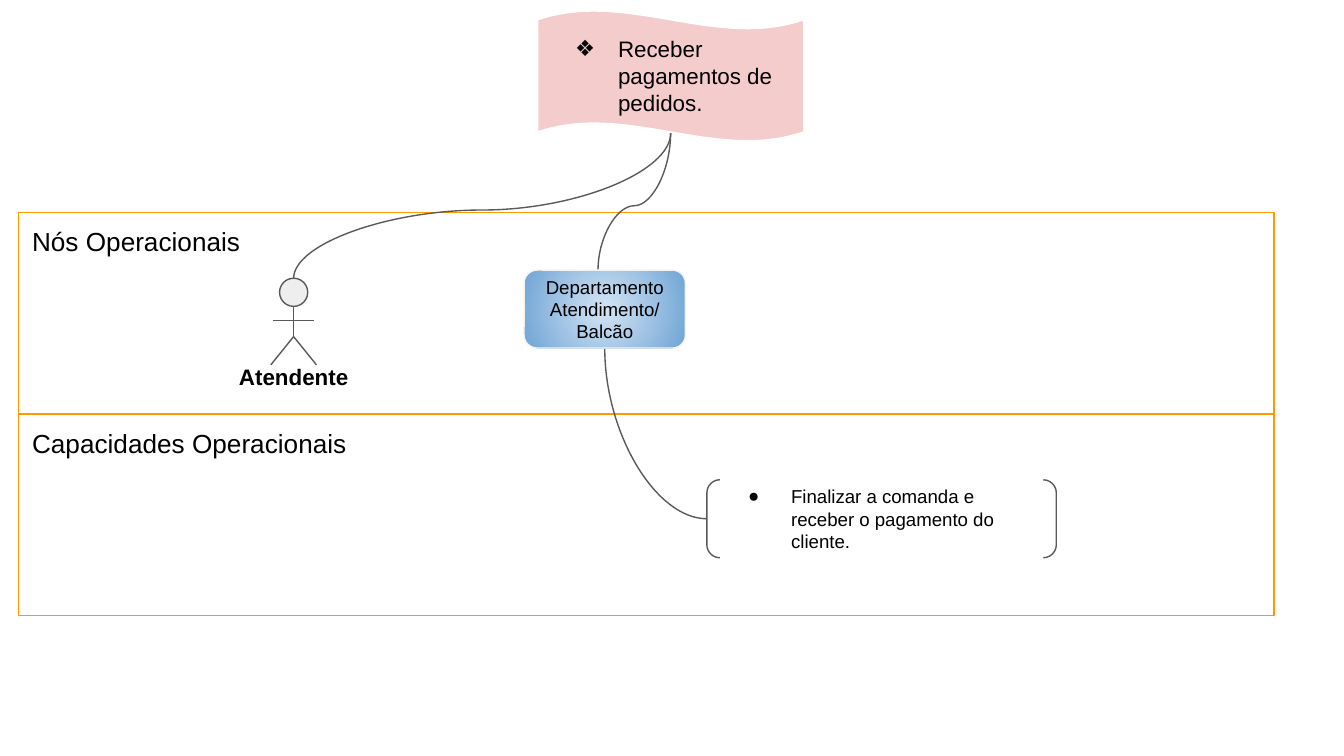
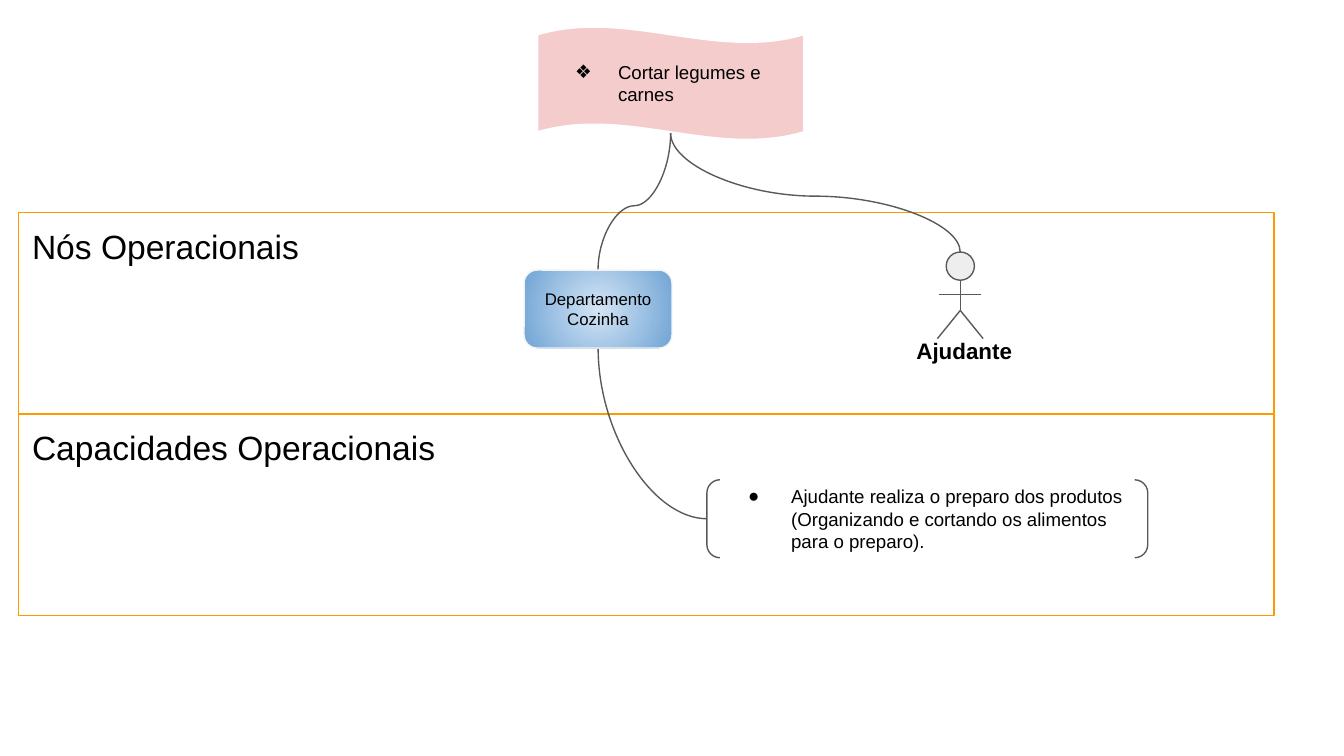
from lxml.etree import SubElement as Sub
from pptx import Presentation
from pptx.dml.color import RGBColor as RGB
from pptx.enum.shapes import MSO_CONNECTOR as Con, MSO_SHAPE as Geo
from pptx.enum.text import MSO_ANCHOR as Anchor, PP_ALIGN as Align
from pptx.oxml.ns import qn
from pptx.util import Inches, Pt

# The grid: 100 columns wide, square cells.
WIDE, HIGH = Inches(10), Inches(5.625)
CELL = WIDE / 100

BLACK, WHITE = RGB(0, 0, 0), RGB(255, 255, 255)
ORANGE = RGB(0xFF, 0x99, 0x00)
PINK = RGB(0xF4, 0xCC, 0xCC)
GREY = RGB(0x59, 0x59, 0x59)
PALE = RGB(0xEE, 0xEE, 0xEE)
MIST = RGB(0xF3, 0xF3, 0xF3)
SKY, BLUE = RGB(0xD4, 0xE5, 0xF5), RGB(0x70, 0xA4, 0xD5)

FONT = "Arial"
THIN = Pt(0.75)
PAD = 1
BANDS = (1.4, 15.8, 93.4, 15)      # first band; the next lies one height below
BAND_NAMES = ("Nós Operacionais", "Capacidades Operacionais")
ROUND = 0.167


def cells(*nums):
    """Turn grid cells into slide lengths."""
    return [round(n * CELL) for n in nums]


def write(shape, paras, size, align=Align.LEFT, anchor=Anchor.TOP,
          bold=False, mark=None):
    """Fill a shape with paragraphs, bulleted if a mark is given."""
    frame = shape.text_frame
    frame.word_wrap = True
    frame.vertical_anchor = anchor
    pad, = cells(PAD)
    frame.margin_left = frame.margin_right = pad
    frame.margin_top = frame.margin_bottom = pad
    for i, text in enumerate(paras):
        para = frame.add_paragraph() if i else frame.paragraphs[0]
        para.alignment = align
        run = para.add_run()
        run.text = text
        font = run.font
        font.name, font.size, font.bold = FONT, Pt(size), bold
        font.color.rgb = BLACK
        if mark:
            bullet(para, mark)


def bullet(para, mark):
    """Give a paragraph a black bullet and a hanging indent."""
    props = para._p.get_or_add_pPr()
    left, hang = cells(5, 3.2)
    props.set("marL", str(left))
    props.set("indent", str(-hang))
    tint = Sub(props, qn("a:buClr"))
    Sub(tint, qn("a:srgbClr")).set("val", str(BLACK))
    Sub(props, qn("a:buFont")).set("typeface", FONT)
    Sub(props, qn("a:buChar")).set("char", mark)


def block(shapes, kind, box, edge, fill=None, bend=None):
    """Add a flat preset shape in a box of cells."""
    shape = shapes.add_shape(kind, *cells(*box))
    shape.shadow.inherit = False
    shape.line.color.rgb = edge
    shape.line.width = THIN
    if fill is None:
        shape.fill.background()
    else:
        shape.fill.solid()
        shape.fill.fore_color.rgb = fill
    if bend is not None:
        shape.adjustments[0] = bend
    return shape


def stroke(shapes, kind, start, end):
    """Add a thin grey connector without shadow."""
    line = shapes.add_connector(kind, *cells(*start, *end))
    line.line.color.rgb = GREY
    line.line.width = THIN
    Sub(line._element.spPr, qn("a:effectLst"))
    return line


def curve(shapes, start, end, bend=None):
    """Link two points by a curve that leaves upright.

    With a bend it is an S; without one, a quarter turn.
    """
    (x1, y1), (x2, y2) = start, end
    dx, dy = x2 - x1, y2 - y1
    midx, midy = (x1 + x2) / 2, (y1 + y2) / 2
    # The box lies on its side, so width and height swap.
    w, h = abs(dy) / 2, abs(dx) / 2
    line = stroke(shapes, Con.CURVE, (midx - w, midy - h), (midx + w, midy + h))
    props = line._element.spPr
    frame = props.find(qn("a:xfrm"))
    frame.set("rot", str((270 if dx > 0 else 90) * 60000))
    if (dx > 0) == (dy > 0):
        frame.set("flipH", "1")
    geom = props.find(qn("a:prstGeom"))
    if bend is None:
        geom.set("prst", "curvedConnector2")
    else:
        guide = Sub(geom.find(qn("a:avLst")), qn("a:gd"))
        guide.set("name", "adj1")
        guide.set("fmla", f"val {round(bend * 100000)}")


def bands(shapes, box, size):
    """Stack the two named bands."""
    x, y, w, h = box
    for i, name in enumerate(BAND_NAMES):
        band = block(shapes, Geo.RECTANGLE, (x, y + i * h, w, h), ORANGE)
        write(band, [name], size)


def banner(shapes, box, text, size):
    """Add the waving goal banner; return the point links hang from."""
    x, y, w, h = box
    flag = block(shapes, Geo.WAVE, box, WHITE, PINK, 0.07)
    write(flag, [text], size, anchor=Anchor.MIDDLE, mark="❖")
    return x + w / 2, 9.9


def actor(shapes, x, y, name, wide, shift=0):
    """Draw a named stick figure with its head top at x, y."""
    group = shapes.add_group_shape().shapes
    head, neck, arms, hip, foot = 2.1, 2.1, 3.15, 4.35, 6.45
    block(group, Geo.FLOWCHART_CONNECTOR, (x - head / 2, y, head, head),
          GREY, PALE)
    for x1, y1, x2, y2 in ((0, neck, 0, hip), (-1.55, arms, 1.55, arms),
                           (0, hip, -1.7, foot), (0, hip, 1.7, foot)):
        stroke(group, Con.STRAIGHT, (x + x1, y + y1), (x + x2, y + y2))
    label = group.add_textbox(
        *cells(x + shift - wide / 2, y + 5.35, wide, 3.75))
    write(label, [name], 12, Align.CENTER, bold=True)
    return x, y


def unit(shapes, box, paras, size):
    """Add a department box that shades outward from its middle."""
    room = block(shapes, Geo.ROUNDED_RECTANGLE, box, MIST, bend=ROUND)
    room.fill.gradient()
    for stop, tint in zip(room.fill.gradient_stops, (SKY, BLUE)):
        stop.color.rgb = tint
    grad = room._element.spPr.find(qn("a:gradFill"))
    grad.remove(grad.find(qn("a:lin")))
    ring = Sub(grad, qn("a:path"))
    ring.set("path", "circle")
    focus = Sub(ring, qn("a:fillToRect"))
    for side in "ltrb":
        focus.set(side, "50000")
    write(room, paras, size, Align.CENTER, Anchor.MIDDLE)


def skill(shapes, box, text):
    """Add a bracketed capability."""
    pair = block(shapes, Geo.DOUBLE_BRACKET, box, GREY, bend=ROUND)
    write(pair, [text], 10, anchor=Anchor.MIDDLE, mark="●")


def sheet(deck, heads, goal, person, room, task):
    """Build one slide: goal on top, who does it, and the capability."""
    shapes = deck.slides.add_slide(deck.slide_layouts[6]).shapes
    bands(shapes, BANDS, heads)
    top, tall, text, size = goal
    hook = banner(shapes, (40, top, 19.8, tall), text, size)
    curve(shapes, actor(shapes, *person), hook, 0.47)

    wide, paras, size = room
    x, y, h = 39, 20.1, 5.8
    left, row = 52.6, 35.7
    curve(shapes, (44.5, y), hook, 0.47)
    curve(shapes, (x + wide / 2, y + h), (left, row + h / 2))
    unit(shapes, (x, y, wide, h), paras, size)
    wide, text = task
    skill(shapes, (left, row, wide, h), text)


deck = Presentation()
deck.slide_width, deck.slide_height = WIDE, HIGH
sheet(deck, 14,
      goal=(0.8, 9.7, "Receber pagamentos de pedidos.", 12),
      person=(21.85, 20.7, "Atendente", 11.2),
      room=(12, ["Departamento Atendimento/", "Balcão"], 10),
      task=(26, "Finalizar a comanda e receber o pagamento do cliente."))
sheet(deck, 18,
      goal=(2, 8.4, "Cortar legumes e carnes", 10),
      person=(71.45, 18.75, "Ajudante", 9.7, 0.3),
      room=(11, ["Departamento Cozinha"], 9),
      task=(32.8, "Ajudante realiza o preparo dos\u00a0produtos (Organizando e "
                  "cortando os alimentos para o preparo)."))
deck.save("out.pptx")
